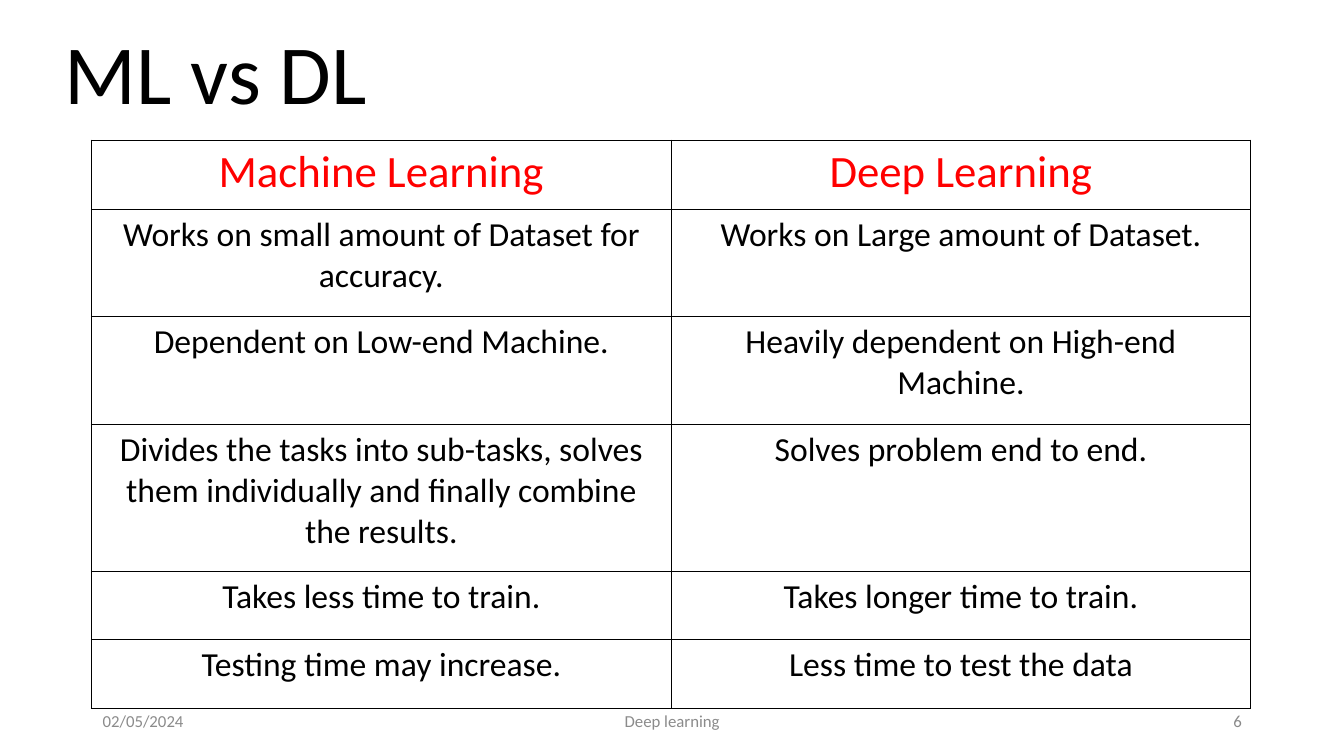
import pptx
import pptx.util
import pptx.dml.color
import pptx.enum.text
import pptx.oxml
import pptx.oxml.ns
from lxml import etree

Pt = pptx.util.Pt
ALIGN = pptx.enum.text.PP_ALIGN
ANCHOR = pptx.enum.text.MSO_ANCHOR

TITLE = "ML vs DL"
FOOTERS = [
    ("02/05/2024", 66.2, 216, ALIGN.LEFT, "8B8B8B"),
    ("Deep learning", 318.2, 324, ALIGN.CENTER, "8B8B8B"),
    ("6", 678.2, 216, ALIGN.RIGHT, "898989"),
]
COMPARISON = [
    ("Machine Learning", "Deep Learning"),
    ("Works on small amount of Dataset for accuracy.", "Works on Large amount of Dataset."),
    ("Dependent on Low-end Machine.", "Heavily dependent on High-end Machine."),
    ("Divides the tasks into sub-tasks, solves them individually and finally combine the results.",
     "Solves problem end to end."),
    ("Takes less time to train.", "Takes longer time to train."),
    ("Testing time may increase.", "Less time to test the data"),
]
ROW_HEIGHTS = [49.2, 76.8, 76.8, 105, 49, 49]
COL_WIDTH = 414


def color(hex_value):
    return pptx.dml.color.RGBColor.from_string(hex_value)


def write(tf, text, size, fill="000000", align=ALIGN.LEFT, spacing=None):
    tf.word_wrap = True
    p = tf.paragraphs[0]
    p.alignment = align
    if spacing:
        p.line_spacing = spacing
    r = p.add_run()
    r.text = text
    r.font.name = "Calibri"
    r.font.size = Pt(size)
    r.font.color.rgb = color(fill)


def add_text(s, box, anchor, text, size, **fmt):
    sp = s.shapes.add_textbox(*map(Pt, box))
    sp.text_frame.vertical_anchor = anchor
    write(sp.text_frame, text, size, **fmt)


def add_borders(cell, hex_value, width):
    tcPr = cell._tc.get_or_add_tcPr()
    for i, side in enumerate(("lnL", "lnR", "lnT", "lnB")):
        ln = etree.Element(pptx.oxml.ns.qn("a:" + side), w=str(Pt(width)))
        fill = etree.SubElement(ln, pptx.oxml.ns.qn("a:solidFill"))
        etree.SubElement(fill, pptx.oxml.ns.qn("a:srgbClr"), val=hex_value)
        tcPr.insert(i, ln)


def add_comparison(s, left, top):
    frame = s.shapes.add_table(len(COMPARISON), 2, Pt(left), Pt(top),
                               Pt(2 * COL_WIDTH), Pt(sum(ROW_HEIGHTS)))
    table = frame.table
    table.horz_banding = False
    table.first_row = False
    for col in table.columns:
        col.width = Pt(COL_WIDTH)
    for i, (texts, height) in enumerate(zip(COMPARISON, ROW_HEIGHTS)):
        table.rows[i].height = Pt(height)
        size, fill, inset = (32, "FF0000", 5.4) if i == 0 else (24, "000000", 7.2)
        for j, text in enumerate(texts):
            cell = table.cell(i, j)
            cell.margin_left = cell.margin_right = Pt(inset)
            cell.margin_top = cell.margin_bottom = Pt(3.6)
            cell.fill.solid()
            cell.fill.fore_color.rgb = color("FFFFFF")
            write(cell.text_frame, text, size, fill=fill, align=ALIGN.CENTER)
            add_borders(cell, "000000", 0.96)


def main():
    prs = pptx.Presentation()
    prs.slide_width, prs.slide_height = Pt(960), Pt(540)
    s = prs.slides.add_slide(prs.slide_layouts[6])
    add_text(s, (39, 23.8, 421, 67), ANCHOR.BOTTOM, TITLE, 60, spacing=0.9)
    for text, left, width, align, fill in FOOTERS:
        add_text(s, (left, 500.5, width, 28.8), ANCHOR.MIDDLE, text, 12, fill=fill, align=align)
    add_comparison(s, 65.4, 100.2)
    prs.save("out.pptx")


if __name__ == "__main__":
    main()
